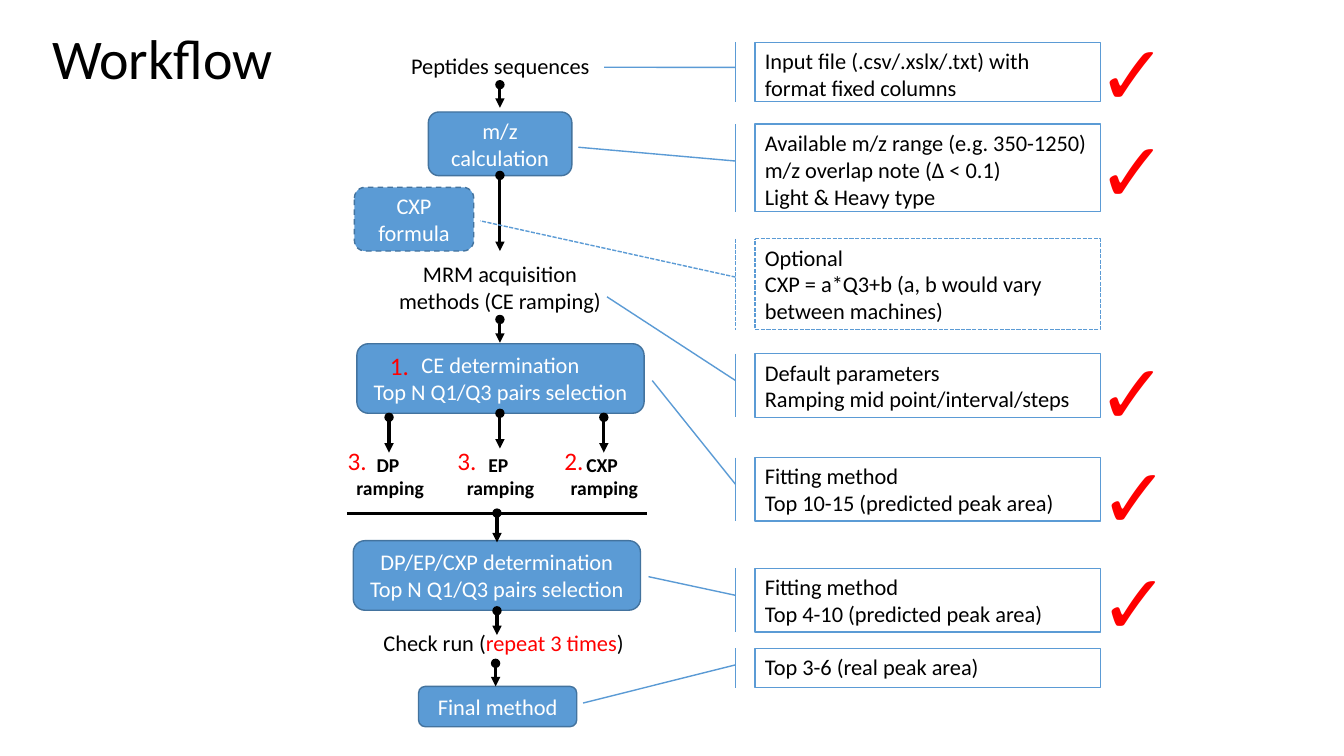
from lxml import etree
from pptx import Presentation, util as u
from pptx.dml import color as dml
from pptx.enum import dml as lines, shapes, text as txt
from pptx.oxml import ns

BLUE, EDGE, BLACK, WHITE, RED = "5B9BD5", "43739E", "000000", "FFFFFF", "FF0000"
LEFT, CENTER = txt.PP_ALIGN.LEFT, txt.PP_ALIGN.CENTER
TOP, MIDDLE = txt.MSO_ANCHOR.TOP, txt.MSO_ANCHOR.MIDDLE
DASH, DOT = lines.MSO_LINE.DASH, lines.MSO_LINE.SQUARE_DOT


def rgb(value):
    return dml.RGBColor.from_string(value)


def points(*values):
    return [u.Pt(value) for value in values]


def write(frame, text, size=16, color=BLACK, bold=False, align=LEFT, anchor=TOP, wrap=True):
    frame.word_wrap = wrap
    frame.auto_size = txt.MSO_AUTO_SIZE.NONE
    frame.vertical_anchor = anchor
    for index, content in enumerate(text.split("\n") if isinstance(text, str) else text):
        para = frame.paragraphs[0] if index == 0 else frame.add_paragraph()
        para.alignment = align
        for words, tint in [(content, color)] if isinstance(content, str) else content:
            span = para.add_run()
            span.text = words
            span.font.name = "Calibri"
            span.font.size = u.Pt(size)
            span.font.bold = bold
            span.font.color.rgb = rgb(tint)


class Flowchart:
    """Draws the elements of a workflow on one slide in a single style."""

    def __init__(self, page):
        self.page = page

    def title(self, text, *place):
        box = self.page.shapes.title
        box.left, box.top, box.width, box.height = points(*place)
        write(box.text_frame, text, size=40, wrap=False)

    def label(self, text, *place, **style):
        box = self.page.shapes.add_textbox(*points(*place))
        write(box.text_frame, text, **style)

    def shape(self, kind, place, fill, edge, dash):
        box = self.page.shapes.add_shape(kind, *points(*place))
        box.shadow.inherit = False
        box.fill.solid()
        box.fill.fore_color.rgb = rgb(fill)
        box.line.color.rgb = rgb(edge)
        box.line.width = u.Pt(1)
        if dash:
            box.line.dash_style = dash
        return box

    def step(self, text, *place, dash=None):
        box = self.shape(shapes.MSO_SHAPE.ROUNDED_RECTANGLE, place, BLUE, EDGE, dash)
        write(box.text_frame, text, color=WHITE, align=CENTER, anchor=MIDDLE)

    def callout(self, text, top, height, target_y, target_x, dash=None):
        kind = shapes.MSO_SHAPE.LINE_CALLOUT_1_BORDER_AND_ACCENT_BAR
        box = self.shape(kind, (539.3, top, 247, height), WHITE, BLUE, dash)
        for index, value in enumerate((0.423, -0.056, target_y, target_x)):
            box.adjustments[index] = value
        write(box.text_frame, text)

    def line(self, *ends, arrow=False):
        link = self.page.shapes.add_connector(shapes.MSO_CONNECTOR.STRAIGHT, *points(*ends))
        link.line.color.rgb = rgb(BLACK)
        link.line.width = u.Pt(2.25)
        if arrow:
            stroke = link.line._get_or_add_ln()
            etree.SubElement(stroke, ns.qn("a:headEnd"), type="oval")
            etree.SubElement(stroke, ns.qn("a:tailEnd"), type="triangle")
        etree.SubElement(link._element.spPr, ns.qn("a:effectLst"))


def main():
    deck = Presentation()
    deck.slide_width, deck.slide_height = points(960, 540)
    chart = Flowchart(deck.slides.add_slide(deck.slide_layouts[5]))
    chart.title("Workflow", 30, 13, 174, 55.7)

    chart.step("m/z calculation", 306, 80, 102.5, 45.5)
    chart.step("CXP formula", 253.2, 133.8, 85.2, 45.5, dash=DASH)
    chart.step("CE determination\nTop N Q1/Q3 pairs selection", 254.9, 245.5, 205.2, 49.7)
    chart.step("DP/EP/CXP determination\nTop N Q1/Q3 pairs selection", 252.3, 386.2, 205.2, 49.7)
    chart.step("Final method", 299, 490.3, 113, 28.8)

    chart.label("Peptides sequences", 262, 34, 190.8, 26.6, align=CENTER)
    chart.label("MRM acquisition methods (CE ramping)", 271.4, 179.3, 171.4, 51.1,
                align=CENTER, anchor=MIDDLE)
    chart.label([[("Check run (", BLACK), ("repeat 3 times", RED), (")", BLACK)]],
                247, 445.7, 225.4, 26.6, align=CENTER)

    for name, left, number, number_left in [
            ("DP", 247, "3.", 241.2), ("EP", 325.8, "3.", 319.7), ("CXP", 400, "2.", 396)]:
        chart.label(f"{name} \nramping", left, 319.7, 63.4, 41,
                    size=14, bold=True, align=CENTER, wrap=False)
        chart.label(number, number_left, 314.6, 32.4, 28.8, size=18, color=RED, wrap=False)
    chart.label("1.", 271.4, 247, 32.4, 28.8, size=18, color=RED, wrap=False)

    chart.line(247.7, 366.5, 462.2, 366.5)
    for x, top, bottom in [
            (357.1, 60.5, 77), (357.1, 125.3, 179.3), (357.1, 228.2, 244.8),
            (277.9, 298.1, 323.3), (357.1, 295.2, 320.4), (431.3, 298.1, 323.3),
            (355, 366.5, 387.4), (355, 436.3, 453.6), (354, 473.8, 490.3)]:
        chart.line(x, top, x, bottom, arrow=True)

    for text, top, height, target_y, target_x, dash in [
            ("Input file (.csv/.xslx/.txt) with\nformat fixed columns",
             30.2, 42.5, 0.42, -0.436, None),
            ("Available m/z range (e.g. 350-1250)\nm/z overlap note (∆ < 0.1)\nLight & Heavy type",
             88.6, 62.6, 0.265, -0.511, None),
            ("Optional\nCXP = a*Q3+b (a, b would vary between machines)",
             170.6, 64.8, -0.198, -0.794, DOT),
            ("Default parameters\nRamping mid point/interval/steps",
             252.7, 45.4, -0.896, -0.428, None),
            ("Fitting method\nTop 10-15 (predicted peak area)",
             326.9, 45.4, -1.212, -0.297, None),
            ("Fitting method\nTop 4-10 (predicted peak area)",
             406.1, 45.4, 0.129, -0.308, None),
            ("Top 3-6 (real peak area)", 463, 28.1, 1.394, -0.497, None)]:
        chart.callout(text, top, height, target_y, target_x, dash)

    for left, top in [(777, 11.5), (777, 81.4), (777, 239.8), (778.3, 313.9), (778.3, 389.5)]:
        chart.label("✓", left, top, 61.2, 80, size=60, color=RED, wrap=False)

    deck.save("out.pptx")


if __name__ == "__main__":
    main()
